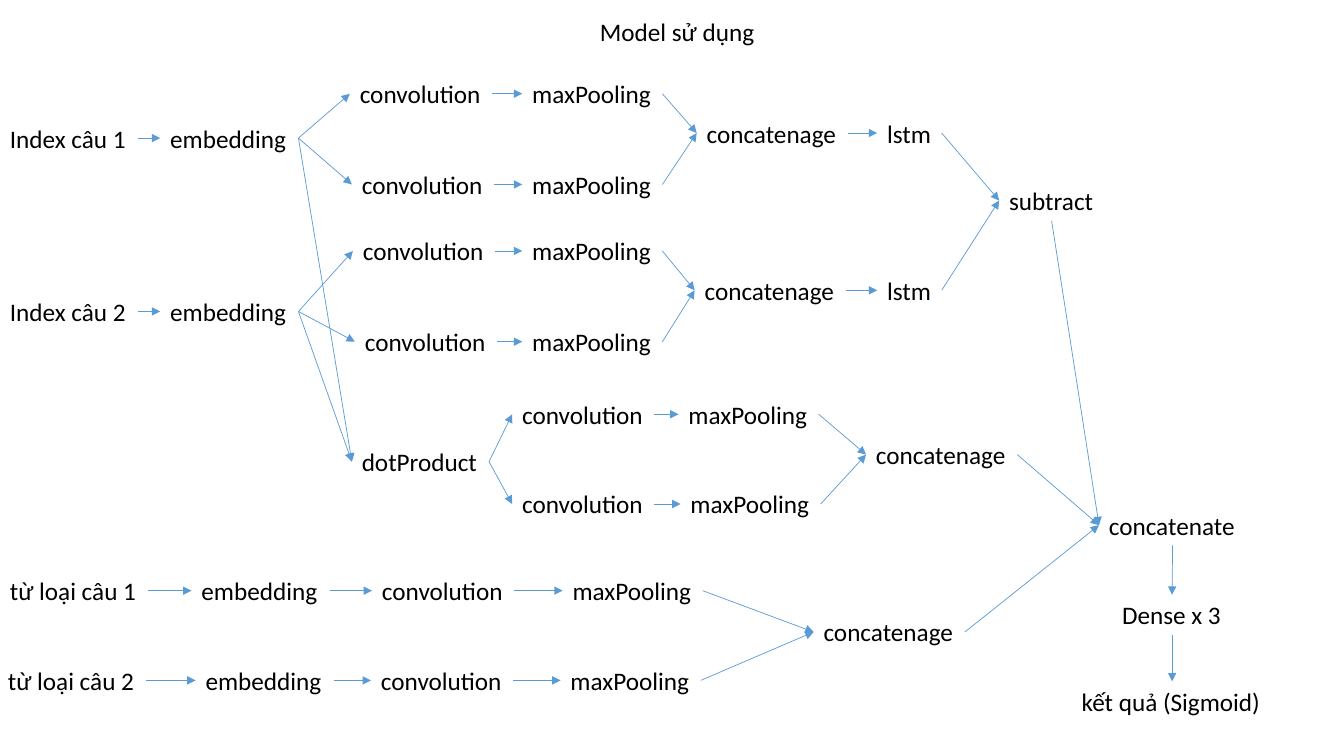
from itertools import pairwise
from lxml import etree
from pptx import Presentation
from pptx.dml.color import RGBColor
from pptx.enum.shapes import MSO_CONNECTOR
from pptx.enum.text import MSO_ANCHOR, MSO_AUTO_SIZE, PP_ALIGN
from pptx.oxml.ns import qn
from pptx.util import Inches, Pt

THEME = {
    "font": "Calibri",
    "size": Pt(18),
    "text": RGBColor(0x00, 0x00, 0x00),
    "arrow": RGBColor(0x5B, 0x9B, 0xD5),
    "arrow_width": Pt(0.5),
}

TITLE = ("Model sử dụng", 58.4, 3.1)

CHAINS = {
    "sentence 1": (13.7, [("Index câu 1", 0), ("embedding", 15.9)]),
    "sentence 2": (30.9, [("Index câu 2", 0), ("embedding", 15.9)]),
    "branch 1a": (9.3, [("convolution", 34.7), ("maxPooling", 51.8)]),
    "branch 1b": (18.3, [("convolution", 34.9), ("maxPooling", 51.8)]),
    "branch 2a": (24.9, [("convolution", 35), ("maxPooling", 51.8)]),
    "branch 2b": (33.9, [("convolution", 35.2), ("maxPooling", 51.8)]),
    "memory 1": (13.2, [("concatenage", 69.1), ("lstm", 87)]),
    "memory 2": (28.8, [("concatenage", 68.9), ("lstm", 87)]),
    "difference": (19.9, [("subtract", 99.1)]),
    "product": (45.8, [("dotProduct", 34.9)]),
    "product a": (41.1, [("convolution", 50.8), ("maxPooling", 67.3)]),
    "product b": (50, [("convolution", 50.8), ("maxPooling", 67.5)]),
    "product merge": (45.1, [("concatenage", 85.9)]),
    "word type 1": (58.6, [("từ loại câu 1", 0), ("embedding", 19),
                           ("convolution", 36.9), ("maxPooling", 55.8)]),
    "word type 2": (67.5, [("từ loại câu 2", -0.2), ("embedding", 19.4),
                           ("convolution", 36.8), ("maxPooling", 55.6)]),
    "word type merge": (62.7, [("concatenage", 80.7)]),
    "final merge": (52.1, [("concatenate", 109)]),
    "dense": (61, [("Dense x 3", 110.3)]),
    "result": (69.6, [("kết quả (Sigmoid)", 106.3)]),
}

FORKS = {
    "sentence 1": ["branch 1a", "branch 1b", "product"],
    "sentence 2": ["branch 2a", "branch 2b", "product"],
    "product": ["product a", "product b"],
}
MERGES = {
    "memory 1": ["branch 1a", "branch 1b"],
    "memory 2": ["branch 2a", "branch 2b"],
    "difference": ["memory 1", "memory 2"],
    "product merge": ["product a", "product b"],
    "word type merge": ["word type 1", "word type 2"],
    "final merge": ["product merge", "word type merge"],
}

WIDTHS = {
    "Model sử dụng": 17.5, "Index câu 1": 13.7, "Index câu 2": 13.7,
    "từ loại câu 1": 14.7, "từ loại câu 2": 14.7, "embedding": 13.7,
    "convolution": 14.1, "maxPooling": 13.9, "concatenage": 15,
    "concatenate": 14.6, "dotProduct": 13.6, "lstm": 6.4,
    "subtract": 10.4, "Dense x 3": 11.9, "kết quả (Sigmoid)": 19.9,
}
LABEL_ROWS = 4
TOP, LEFT, BOTTOM, RIGHT = range(4)

deck = Presentation()
deck.slide_width, deck.slide_height = Inches(13.33), Inches(7.5)
slide = deck.slides.add_slide(deck.slide_layouts[6])
column = deck.slide_width / 133.3
row = deck.slide_height / 75


def add_label(wording, left, middle, align=PP_ALIGN.LEFT):
    label = slide.shapes.add_textbox(
        round(left * column), round((middle - LABEL_ROWS / 2) * row),
        round(WIDTHS[wording] * column), round(LABEL_ROWS * row))
    frame = label.text_frame
    frame.text = wording
    frame.word_wrap = False
    frame.auto_size = MSO_AUTO_SIZE.SHAPE_TO_FIT_TEXT
    frame.vertical_anchor = MSO_ANCHOR.TOP
    paragraph = frame.paragraphs[0]
    paragraph.alignment = align
    font = paragraph.runs[0].font
    font.name, font.size = THEME["font"], THEME["size"]
    font.color.rgb = THEME["text"]
    return label


def add_arrow(source, target, leave=RIGHT, enter=LEFT):
    arrow = slide.shapes.add_connector(MSO_CONNECTOR.STRAIGHT, 0, 0, 0, 0)
    arrow.begin_connect(source, leave)
    arrow.end_connect(target, enter)
    arrow.line.color.rgb = THEME["arrow"]
    arrow.line.width = THEME["arrow_width"]
    etree.SubElement(arrow.line._get_or_add_ln(), qn("a:tailEnd"), type="triangle")
    etree.SubElement(arrow._element.spPr, qn("a:effectLst"))


add_label(*TITLE, align=PP_ALIGN.CENTER)
layers = {
    chain: [add_label(wording, left, middle) for wording, left in steps]
    for chain, (middle, steps) in CHAINS.items()
}

for steps in layers.values():
    for source, target in pairwise(steps):
        add_arrow(source, target)

links = [(start, end) for start, ends in FORKS.items() for end in ends]
links += [(start, end) for end, starts in MERGES.items() for start in starts]
for start, end in links:
    add_arrow(layers[start][-1], layers[end][0])

add_arrow(layers["difference"][0], layers["final merge"][0], leave=BOTTOM)
for start, end in pairwise(["final merge", "dense", "result"]):
    add_arrow(layers[start][0], layers[end][0], leave=BOTTOM, enter=TOP)

deck.save("out.pptx")
